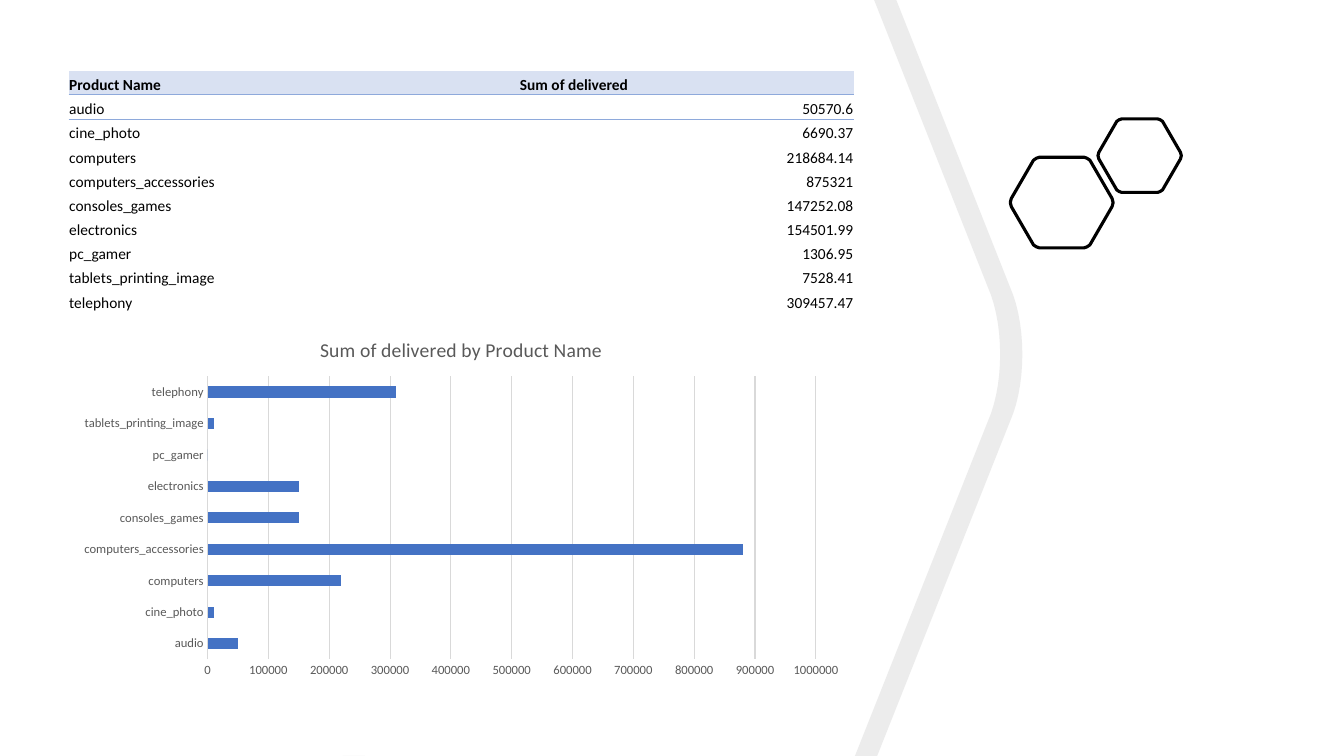
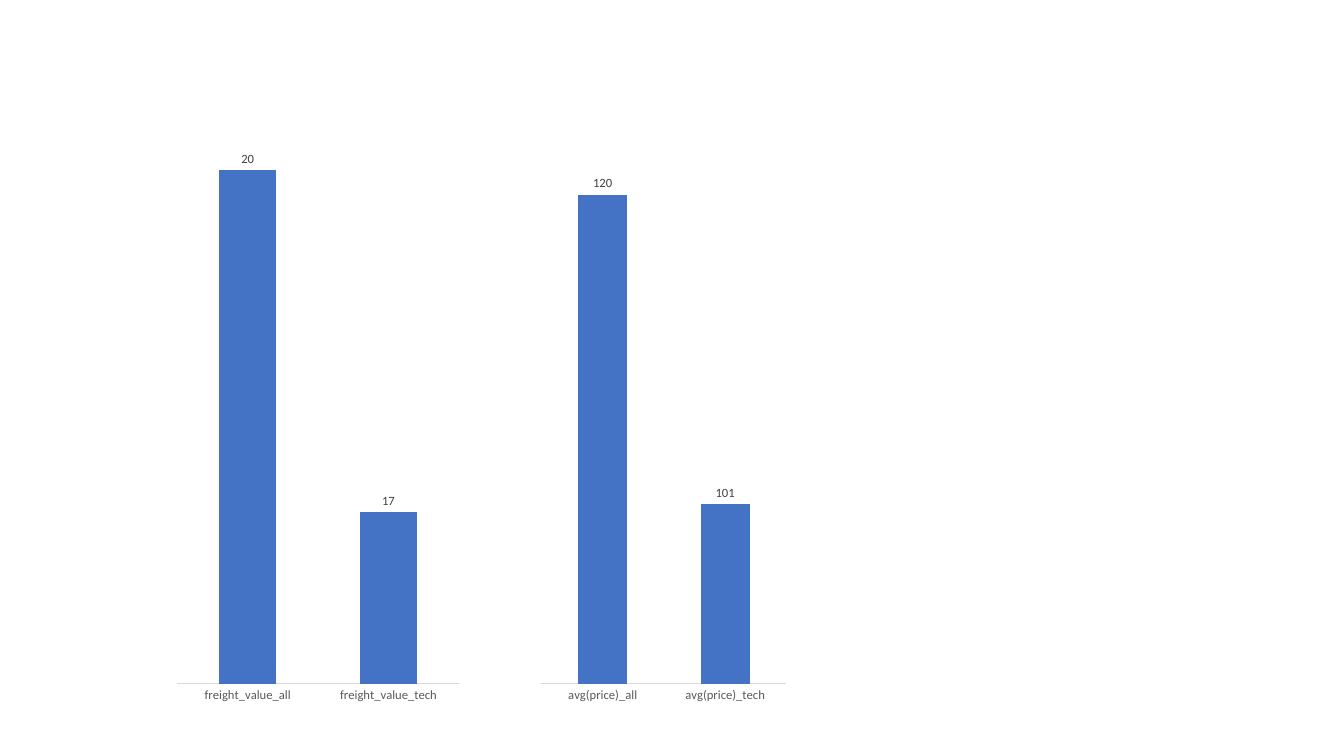
from lxml import etree
from pptx import Presentation
from pptx.chart.data import CategoryChartData
from pptx.dml.color import RGBColor
from pptx.enum.chart import XL_CHART_TYPE, XL_LABEL_POSITION, XL_TICK_MARK
from pptx.enum.text import MSO_ANCHOR, PP_ALIGN
from pptx.oxml import parse_xml
from pptx.oxml.ns import nsdecls, qn
from pptx.util import Inches, Pt

BAR, COLUMN = XL_CHART_TYPE.BAR_CLUSTERED, XL_CHART_TYPE.COLUMN_CLUSTERED
NO_TICK = XL_TICK_MARK.NONE
OUTSIDE = XL_LABEL_POSITION.OUTSIDE_END
BOTTOM = MSO_ANCHOR.BOTTOM
LEFT, RIGHT = PP_ALIGN.LEFT, PP_ALIGN.RIGHT

FONT = "Calibri"
BLACK = RGBColor(0x00, 0x00, 0x00)
BLUE = RGBColor(0x44, 0x72, 0xC4)
HEADER = RGBColor(0xD9, 0xE1, 0xF2)
HEADER_RULE = RGBColor(0x8E, 0xA9, 0xDB)
AXIS_TEXT = RGBColor(0x59, 0x59, 0x59)
LABEL_TEXT = RGBColor(0x40, 0x40, 0x40)
GRID = RGBColor(0xD9, 0xD9, 0xD9)
BAND = RGBColor(0x80, 0x80, 0x80)
NO_STYLE = "{2D5ABB26-0587-4C30-8999-92F81FD0307C}"


def add_outline(s, *contours):
    """Freeform of closed contours through points given in inches."""
    builder = None
    for contour in contours:
        pts = [(Inches(x), Inches(y)) for x, y in contour]
        if builder is None:
            builder = s.shapes.build_freeform(*pts[0], scale=1.0)
        else:
            builder.move_to(*pts[0])
        builder.add_line_segments(pts[1:], close=True)
    sp = builder.convert_to_shape()
    sp.shadow.inherit = False
    return sp


def add_bars(s, kind, box, cats, vals, gap, low, high):
    """Single-series chart in the shared style."""
    data = CategoryChartData()
    data.categories = cats
    data.add_series("Series 1", vals)
    chart = s.shapes.add_chart(kind, *[Inches(v) for v in box], data).chart
    chart.has_legend = False
    chart.has_title = False
    chart.font.name, chart.font.size = FONT, Pt(10)
    chart.font.color.rgb = BLACK
    plot = chart.plots[0]
    plot.gap_width = gap
    plot.vary_by_categories = False
    fill = plot.series[0].format.fill
    fill.solid()
    fill.fore_color.rgb = BLUE
    for axis in (chart.category_axis, chart.value_axis):
        axis.major_tick_mark = axis.minor_tick_mark = NO_TICK
        font = axis.tick_labels.font
        font.name, font.size = FONT, Pt(9)
        font.color.rgb = AXIS_TEXT
    line = chart.category_axis.format.line
    line.color.rgb, line.width = GRID, Pt(0.75)
    chart.value_axis.minimum_scale = low
    chart.value_axis.maximum_scale = high
    return chart


prs = Presentation()
prs.slide_width, prs.slide_height = Inches(13.33), Inches(7.5)
blank = prs.slide_layouts[6]

# Slide 1: delivered totals by product
s = prs.slides.add_slide(blank)
delivered = {
    "audio": 50570.6,
    "cine_photo": 6690.37,
    "computers": 218684.14,
    "computers_accessories": 875321,
    "consoles_games": 147252.08,
    "electronics": 154501.99,
    "pc_gamer": 1306.95,
    "tablets_printing_image": 7528.41,
    "telephony": 309457.47,
}

# Grey band with a rounded bend, and its thin foot on the bottom edge
bend = []
for i in range(13):
    t = i / 12
    bend.append((10.05 + 0.36 * t * (1 - t), 2.93 + 1.17 * t * t * (3 - 2 * t)
                 + 1.02 * t * (1 - t) * (1 - 2 * t)))
right_edge = [(8.89, 0)] + bend + [(8.7, 7.5)]
left_edge = [(x - 0.22, y) for x, y in reversed(right_edge)]
foot = [(3.4, 7.5), (3.62, 7.5), (3.62, 7.5)]
band = add_outline(s, foot, right_edge + left_edge)
band.fill.solid()
band.fill.fore_color.rgb = BAND
color = band.fill._xPr.find(qn("a:solidFill"))[0]
etree.SubElement(color, qn("a:alpha")).set("val", "15000")
band.line.fill.background()

# Rounded hexagons, the right half mirrored from the left
half = [(0.29, 0), (0.26, 0.01), (0.23, 0.03), (0.01, 0.41), (0, 0.45),
        (0.01, 0.49), (0.23, 0.87), (0.26, 0.89), (0.29, 0.9)]
hexagon = half + [(1.02 - x, y) for x, y in reversed(half)]
for left, top, scale in ((10.02, 1.56, 1), (10.89, 1.18, 0.81)):
    sp = add_outline(s, [(left + x * scale, top + y * scale) for x, y in hexagon])
    sp.fill.background()
    sp.line.color.rgb, sp.line.width = BLACK, Pt(2.25)

# Table, with a rule between the header and the first row
rows = [("Product Name", "Sum of delivered")]
rows += [(name, str(value)) for name, value in delivered.items()]
table = s.shapes.add_table(len(rows), 2, Inches(0.68), Inches(0.7),
                           Inches(7.79), Inches(2.4)).table
table.first_row = table.horz_banding = False
table._tbl.tblPr.find(qn("a:tableStyleId")).text = NO_STYLE
table.columns[0].width, table.columns[1].width = Inches(4.47), Inches(3.32)
for i, row in enumerate(rows):
    table.rows[i].height = Inches(0.24)
    for j, text in enumerate(row):
        cell = table.cell(i, j)
        cell.margin_left = cell.margin_right = cell.margin_top = Pt(0.5)
        cell.margin_bottom = 0
        cell.vertical_anchor = BOTTOM
        p = cell.text_frame.paragraphs[0]
        p.text = text
        p.alignment = RIGHT if i and j else LEFT
        font = p.runs[0].font
        font.name, font.size, font.bold = FONT, Pt(11), i == 0
        font.color.rgb = BLACK
        if i:
            cell.fill.background()
        else:
            cell.fill.solid()
            cell.fill.fore_color.rgb = HEADER
        if i < 2:
            side = "lnT" if i else "lnB"
            cell._tc.tcPr.insert(0, parse_xml(
                f'<a:{side} {nsdecls("a")} w="6350"><a:solidFill>'
                f'<a:srgbClr val="{HEADER_RULE}"/></a:solidFill></a:{side}>'))

# Bar chart, in tens of thousands
chart = add_bars(s, BAR, (0.68, 3.18, 7.79, 3.62), list(delivered),
                 [int(round(v, -4)) for v in delivered.values()], 182, 0, 1000000)
chart.has_title = True
p = chart.chart_title.text_frame.paragraphs[0]
p.text = "Sum of delivered by Product Name"
font = p.runs[0].font
font.name, font.size, font.bold = FONT, Pt(14), False
font.color.rgb = AXIS_TEXT
axis = chart.value_axis
axis.major_unit = 100000
axis.tick_labels.number_format = "General"
axis.tick_labels.number_format_is_linked = False
axis.format.line.fill.background()
line = axis.major_gridlines.format.line
line.color.rgb, line.width = GRID, Pt(0.75)

# Slide 2: averages for all products and for tech products
s = prs.slides.add_slide(blank)
averages = (
    ("freight_value", (20, 17), 1.7, 2.91, 15.5, 20.5),
    ("avg(price)", (120, 101), 5.32, 2.53, 90, 125),
)
for name, vals, left, width, low, high in averages:
    chart = add_bars(s, COLUMN, (left, 1, width, 6.09),
                     [f"{name}_all", f"{name}_tech"], vals, 150, low, high)
    chart.value_axis.visible = False
    chart.value_axis.has_major_gridlines = False
    plot = chart.plots[0]
    plot.overlap = -25
    plot.has_data_labels = True
    labels = plot.data_labels
    labels.show_value = True
    labels.position = OUTSIDE
    labels.font.name, labels.font.size = FONT, Pt(9)
    labels.font.color.rgb = LABEL_TEXT

prs.save("out.pptx")
